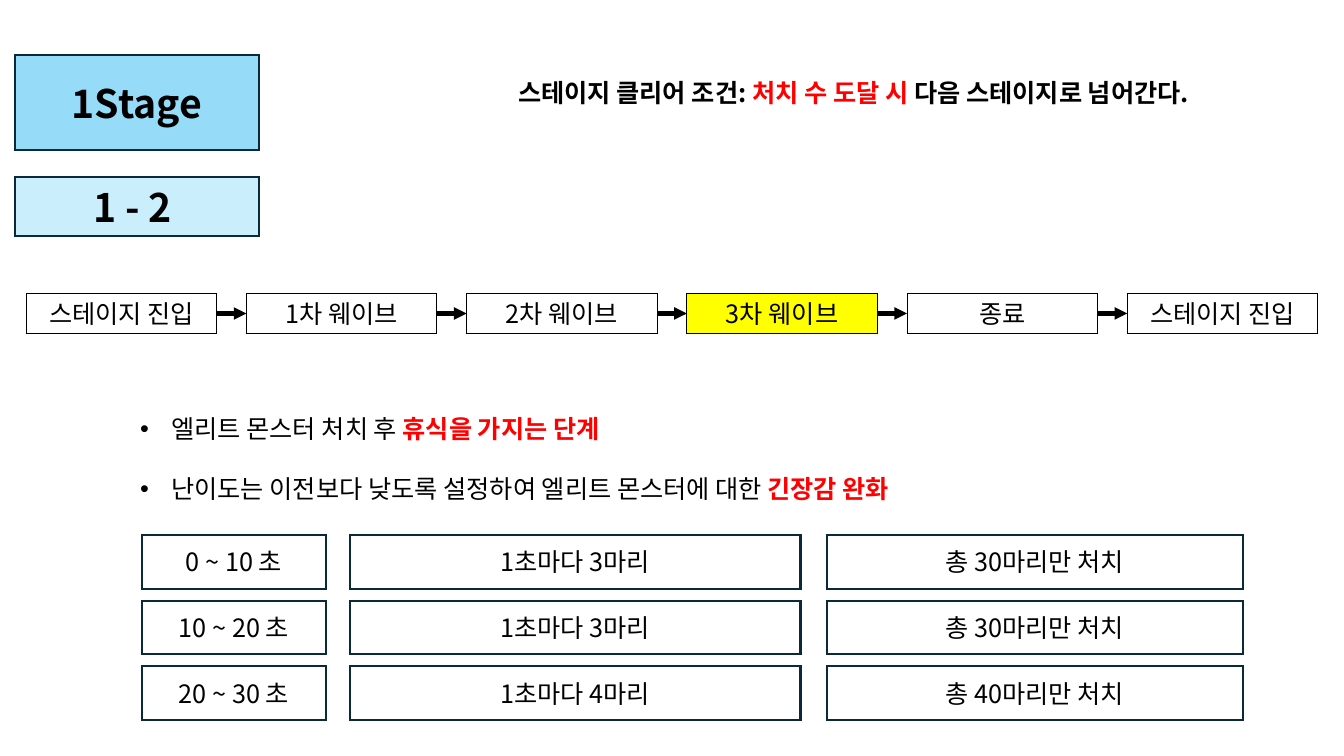
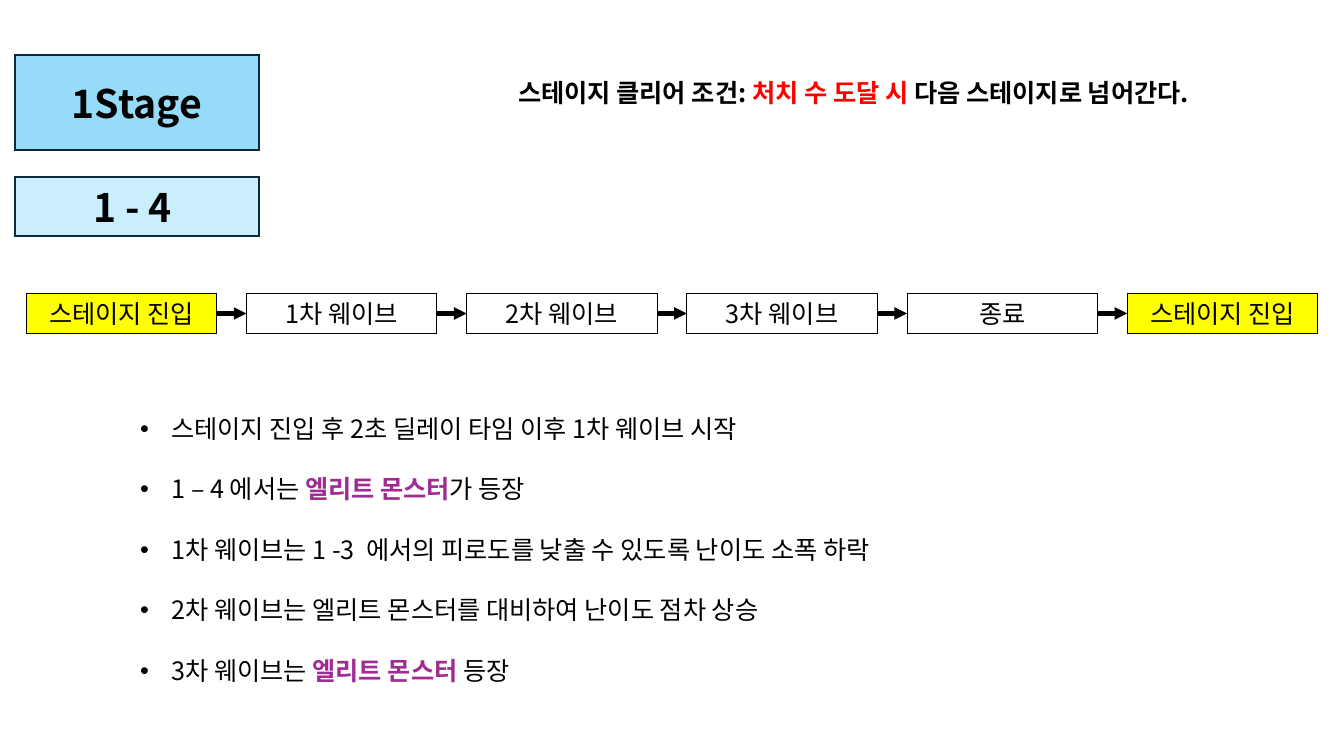
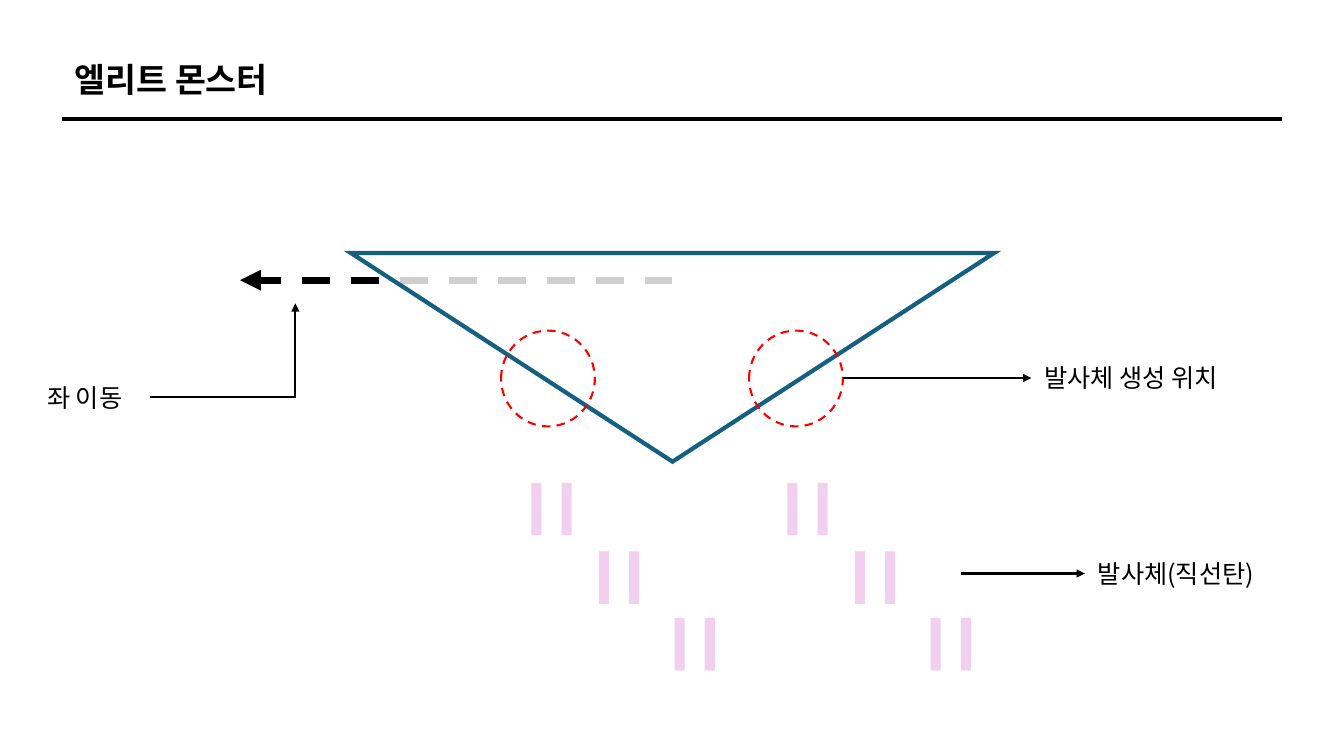
from pptx import Presentation
from pptx.dml.color import RGBColor
from pptx.enum.dml import MSO_LINE
from pptx.enum.shapes import MSO_CONNECTOR, MSO_SHAPE
from pptx.enum.text import MSO_ANCHOR, MSO_AUTO_SIZE, PP_ALIGN
from pptx.oxml.ns import qn
from pptx.util import Inches, Pt
from lxml import etree

BLACK = RGBColor(0x00, 0x00, 0x00)
WHITE = RGBColor(0xFF, 0xFF, 0xFF)
RED = RGBColor(0xFF, 0x00, 0x00)
PURPLE = RGBColor(0xA0, 0x2B, 0x93)
YELLOW = RGBColor(0xFF, 0xFF, 0x00)
SKY = RGBColor(0x96, 0xDC, 0xF8)
PALE_SKY = RGBColor(0xCA, 0xEE, 0xFB)
NAVY = RGBColor(0x09, 0x2A, 0x39)
TEAL = RGBColor(0x15, 0x60, 0x82)
PINK = RGBColor(0xF2, 0xCF, 0xEE)

RECT, OVAL, TRIANGLE = MSO_SHAPE.RECTANGLE, MSO_SHAPE.OVAL, MSO_SHAPE.ISOSCELES_TRIANGLE
STRAIGHT = MSO_CONNECTOR.STRAIGHT
DASH = MSO_LINE.DASH
LEFT, CENTER = PP_ALIGN.LEFT, PP_ALIGN.CENTER
TOP, MIDDLE = MSO_ANCHOR.TOP, MSO_ANCHOR.MIDDLE
FIXED, GROW = MSO_AUTO_SIZE.NONE, MSO_AUTO_SIZE.SHAPE_TO_FIT_TEXT
TITLE_AND_BODY, TITLE_ONLY = 1, 5

FLOW_STEPS = ["스테이지 진입", "1차 웨이브", "2차 웨이브", "3차 웨이브", "종료", "스테이지 진입"]
FLOW_LEFT, FLOW_PITCH = 0.26, (11.18 - 0.26) / 5
CLEAR_CONDITION = ["스테이지 클리어 조건: ", ("처치 수 도달 시 ", RED), "다음 스테이지로 넘어간다."]


class Deck:
    font = "Noto Sans CJK KR"

    def __init__(self):
        self.prs = Presentation()
        self.prs.slide_width, self.prs.slide_height = Inches(13.33), Inches(7.5)
        self.s = None

    def add_slide(self, layout):
        self.s = self.prs.slides.add_slide(self.prs.slide_layouts[layout])

    def place(self, sp, at):
        sp.left, sp.top, sp.width, sp.height = (Inches(v) for v in at)

    def add_runs(self, p, parts, size=18, bold=False):
        """Add runs; a part is plain text or a (text, accent colour) pair, set bold."""
        for part in parts:
            text, color = (part, None) if isinstance(part, str) else part
            r = p.add_run()
            r.text = text
            r.font.size, r.font.name = Pt(size), self.font
            r.font.bold = bold or color is not None
            r.font.color.rgb = color or BLACK
            ea = etree.SubElement(r.font._element, qn("a:ea"))
            ea.set("typeface", self.font)

    def fill_text(self, sp, parts, size=18, bold=False, align=LEFT, anchor=TOP, auto_size=GROW):
        tf = sp.text_frame
        tf.word_wrap, tf.auto_size, tf.vertical_anchor = True, auto_size, anchor
        tf.paragraphs[0].alignment = align
        self.add_runs(tf.paragraphs[0], parts, size, bold)

    def outline(self, sp, color, width, dash=None, arrow=False):
        sp.line.color.rgb, sp.line.width = color, Pt(width)
        if dash:
            sp.line.dash_style = dash
        ln = sp.line._get_or_add_ln()
        etree.SubElement(ln, qn("a:miter")).set("lim", "800000")
        if arrow:
            etree.SubElement(ln, qn("a:tailEnd")).set("type", "triangle")

    def paint(self, sp, fill):
        if fill is None:
            sp.fill.background()
        else:
            sp.fill.solid()
            sp.fill.fore_color.rgb = fill

    def shape(self, kind, at, fill=None, line=None, width=1.5, dash=None):
        sp = self.s.shapes.add_shape(kind, *(Inches(v) for v in at))
        sp.shadow.inherit = False
        self.paint(sp, fill)
        if line is None:
            sp.line.fill.background()
        else:
            self.outline(sp, line, width, dash)
        return sp

    def box(self, at, text, fill=None, size=18, bold=False):
        sp = self.shape(RECT, at, fill, NAVY)
        self.fill_text(sp, [text], size, bold, CENTER, MIDDLE, FIXED)

    def text(self, at, parts, bold=False, align=LEFT):
        sp = self.s.shapes.add_textbox(*(Inches(v) for v in at))
        self.fill_text(sp, parts, bold=bold, align=align)

    def line(self, start, end, width=1.5, dash=None, arrow=True):
        cx = self.s.shapes.add_connector(STRAIGHT, *(Inches(v) for v in (*start, *end)))
        self.outline(cx, BLACK, width, dash, arrow)
        etree.SubElement(cx._element.spPr, qn("a:effectLst"))
        return cx

    def elbow_arrow(self, points):
        start, *rest = [(Inches(x), Inches(y)) for x, y in points]
        builder = self.s.shapes.build_freeform(*start)
        builder.add_line_segments(rest, close=False)
        sp = builder.convert_to_shape()
        sp.shadow.inherit = False
        sp.fill.background()
        self.outline(sp, BLACK, 1.5, arrow=True)

    def title(self, at, text, size, align=LEFT, anchor=TOP):
        sp = self.s.shapes.title
        self.place(sp, at)
        self.fill_text(sp, [text], size, True, align, anchor, FIXED)
        return sp

    def bullets(self, at, items):
        sp = self.s.placeholders[1]
        self.place(sp, at)
        tf = sp.text_frame
        tf.word_wrap, tf.auto_size = True, FIXED
        for i, parts in enumerate(items):
            p = tf.add_paragraph() if i else tf.paragraphs[0]
            p.line_spacing, p.space_before = 2.0, Pt(0)
            pPr = p._p.get_or_add_pPr()
            pPr.set("marL", str(Inches(0.31)))
            pPr.set("indent", str(-Inches(0.31)))
            etree.SubElement(pPr, qn("a:buFont")).set("typeface", "Arial")
            etree.SubElement(pPr, qn("a:buChar")).set("char", "•")
            self.add_runs(p, parts)

    def flow(self, active):
        """Draw the stage flow, with the steps in active highlighted."""
        previous = None
        for i, step in enumerate(FLOW_STEPS):
            left = FLOW_LEFT + i * FLOW_PITCH
            fill = YELLOW if i in active else None
            sp = self.shape(RECT, (left, 2.91, 1.89, 0.4), fill, BLACK, 0.75)
            self.fill_text(sp, [step], align=CENTER)
            if previous is not None:
                cx = self.line((left - 0.29, 3.11), (left, 3.11), 3)
                cx.begin_connect(previous, 3)
                cx.end_connect(sp, 1)
            previous = sp

    def stage_slide(self, level, active, items, body_height):
        self.add_slide(TITLE_AND_BODY)
        sp = self.title((0.15, 0.55, 2.42, 0.94), "1Stage", 28, CENTER, MIDDLE)
        self.paint(sp, SKY)
        self.outline(sp, NAVY, 1.5)
        self.bullets((1.29, 3.75, 10.92, body_height), items)
        self.box((0.15, 1.76, 2.42, 0.58), level, PALE_SKY, 28, True)
        self.flow(active)
        self.text((5.04, 0.72, 7.96, 0.4), CLEAR_CONDITION, bold=True)


def add_rest_stage(deck):
    deck.stage_slide("1 - 2 ", {3}, [
        ["엘리트 몬스터 처치 후 ", ("휴식을 가지는 단계", RED)],
        ["난이도는 이전보다 낮도록 설정하여 엘리트 몬스터에 대한 ", ("긴장감 완화", RED)],
    ], 1.22)
    columns = [(1.41, 1.82), (3.47, 4.47), (8.2, 4.13)]
    spawn_rows = [
        ("0 ~ 10 초", "1초마다 3마리", "총 30마리만 처치"),
        ("10 ~ 20 초", "1초마다 3마리", "총 30마리만 처치"),
        ("20 ~ 30 초", "1초마다 4마리", "총 40마리만 처치"),
    ]
    for i, row in enumerate(spawn_rows):
        for (left, width), text in zip(columns, row):
            deck.box((left, 5.31 + 0.65 * i, width, 0.53), text)


def add_elite_stage(deck):
    deck.stage_slide("1 - 4 ", {0, 5}, [
        ["스테이지 진입 후 2초 딜레이 타임 이후 1차 웨이브 시작"],
        ["1 – 4 에서는 ", ("엘리트 몬스터", PURPLE), "가 등장"],
        ["1차 웨이브는 1 -3  에서의 피로도를 낮출 수 있도록 난이도 소폭 하락"],
        ["2차 웨이브는 엘리트 몬스터를 대비하여 난이도 점차 상승"],
        ["3차 웨이브는 ", ("엘리트 몬스터 ", PURPLE), "등장"],
    ], 3.03)


def add_elite_monster(deck):
    deck.add_slide(TITLE_ONLY)
    deck.title((0.64, 0.53, 6.31, 0.5), "엘리트 몬스터", 24)
    deck.line((0.62, 1.18), (12.72, 1.18), 2.75, arrow=False)

    deck.line((6.67, 2.78), (2.38, 2.78), 5, DASH)
    body = deck.shape(TRIANGLE, (3.48, 2.51, 6.38, 2.07), WHITE, TEAL, 3)
    body.rotation = 180
    color = body.fill._xPr.find(qn("a:solidFill"))[0]
    etree.SubElement(color, qn("a:alpha")).set("val", "81000")

    for left in (4.97, 7.43):
        deck.shape(OVAL, (left, 3.28, 0.93, 0.95), line=RED, dash=DASH)
    for muzzle in (5.27, 7.81):
        for dx, top in ((0, 4.79), (0.67, 5.47), (1.42, 6.13)):
            for gap in (0, 0.3):
                deck.shape(RECT, (muzzle + dx + gap, top, 0.1, 0.52), PINK)

    deck.line((8.36, 3.75), (10.23, 3.75))
    deck.text((10.26, 3.55, 2.35, 0.4), ["발사체 생성 위치"])
    deck.line((9.53, 5.69), (10.76, 5.69))
    deck.text((10.79, 5.49, 2.35, 0.4), ["발사체(직선탄)"])
    deck.elbow_arrow([(1.49, 3.94), (2.93, 3.94), (2.93, 3.01)])
    deck.text((0.2, 3.74, 1.28, 0.4), ["좌 이동"], align=CENTER)


def main():
    deck = Deck()
    add_rest_stage(deck)
    add_elite_stage(deck)
    add_elite_monster(deck)
    deck.prs.save("out.pptx")


if __name__ == "__main__":
    main()
